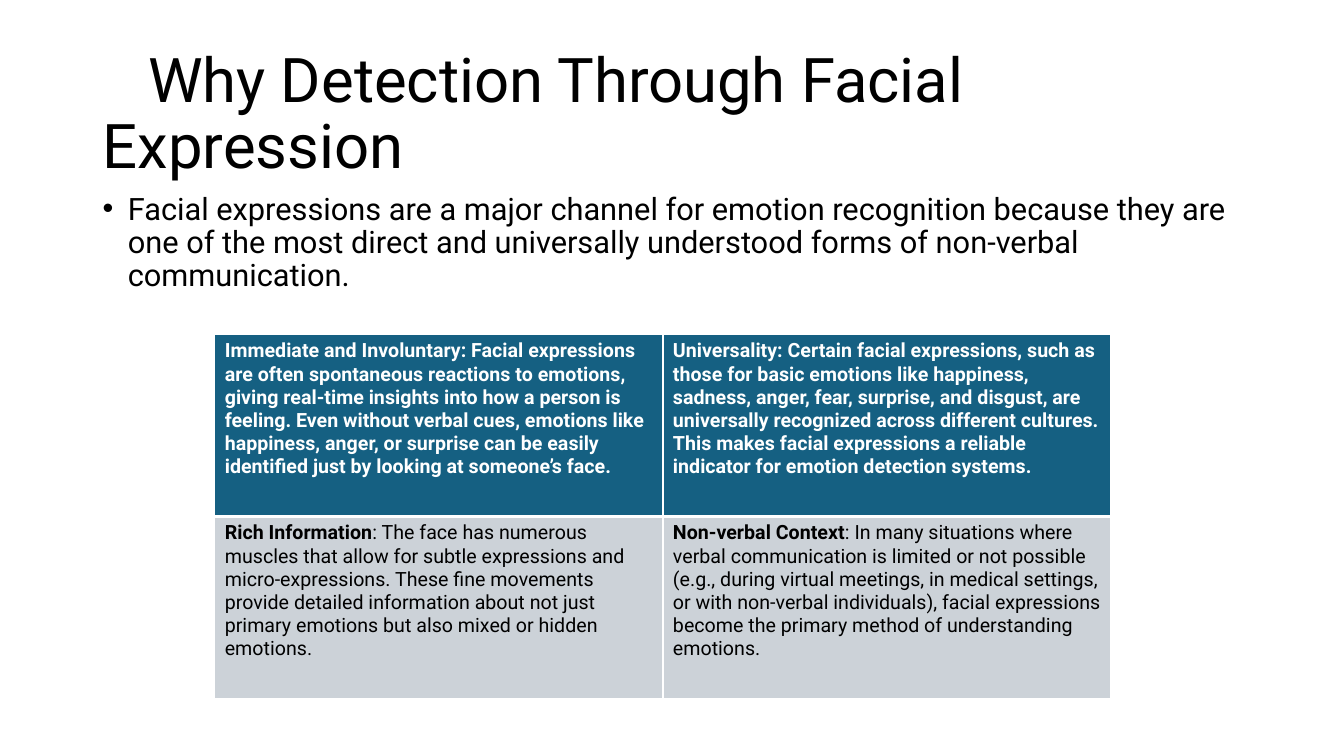
from lxml.etree import SubElement
from pptx import Presentation
from pptx.dml.color import RGBColor as RGB
from pptx.enum.text import MSO_ANCHOR as Anchor
from pptx.oxml import parse_xml
from pptx.oxml.ns import nsdecls, qn
from pptx.util import Inches, Pt

COLORS = {"ink": "000000", "paper": "FFFFFF", "header": "156082", "body": "CCD2D8"}

TITLE = "Why Detection Through Facial Expression"
SUMMARY = (
    "Facial expressions are a major channel for emotion recognition because they are "
    "one of the most direct and universally understood forms of non-verbal communication."
)
REASONS = [
    [
        ("Immediate and Involuntary",
         ": Facial expressions are often spontaneous reactions to emotions, giving "
         "real-time insights into how a person is feeling. Even without verbal cues, "
         "emotions like happiness, anger, or surprise can be easily identified just by "
         "looking at someone’s face."),
        ("Universality",
         ": Certain facial expressions, such as those for basic emotions like happiness, "
         "sadness, anger, fear, surprise, and disgust, are universally recognized across "
         "different cultures. This makes facial expressions a reliable indicator for "
         "emotion detection systems."),
    ],
    [
        ("Rich Information",
         ": The face has numerous muscles that allow for subtle expressions and "
         "micro-expressions. These fine movements provide detailed information about not "
         "just primary emotions but also mixed or hidden emotions."),
        ("Non-verbal Context",
         ": In many situations where verbal communication is limited or not possible "
         "(e.g., during virtual meetings, in medical settings, or with non-verbal "
         "individuals), facial expressions become the primary method of understanding "
         "emotions."),
    ],
]


class SlideBuilder:
    font = "Roboto"

    def __init__(self, slide):
        self.slide = slide

    def style(self, run, size, color, bold=False):
        run.font.name = self.font
        run.font.size = Pt(size)
        run.font.bold = bold
        run.font.color.rgb = RGB.from_string(COLORS[color])

    def text(self, content, left, top, width, height, size, anchor=Anchor.TOP,
             margin=0, indent=0, before=0, bullet=None):
        box = self.slide.shapes.add_textbox(
            Inches(left), Inches(top), Inches(width), Inches(height))
        frame = box.text_frame
        frame.word_wrap = True
        frame.vertical_anchor = anchor
        frame.text = content
        paragraph = frame.paragraphs[0]
        paragraph.line_spacing = 0.9
        paragraph.space_before = Pt(before)
        properties = paragraph._p.get_or_add_pPr()
        properties.set("marL", str(Inches(margin)))
        properties.set("indent", str(Inches(indent)))
        if bullet:
            SubElement(properties, qn("a:buFont")).set("typeface", "Arial")
            SubElement(properties, qn("a:buChar")).set("char", bullet)
        self.style(paragraph.runs[0], size, "ink")

    def borders(self, cell, **widths):
        properties = cell._tc.get_or_add_tcPr()
        for position, side in enumerate("LRTB"):
            properties.insert(position, parse_xml(
                f'<a:ln{side} {nsdecls("a")} w="{Pt(widths.get(side, 1))}">'
                f'<a:solidFill><a:srgbClr val="{COLORS["paper"]}"/></a:solidFill>'
                f'</a:ln{side}>'))

    def cell(self, cell, heading, detail, is_header):
        cell.fill.solid()
        cell.fill.fore_color.rgb = RGB.from_string(COLORS["header" if is_header else "body"])
        self.borders(cell, **{"B" if is_header else "T": 3})
        paragraph = cell.text_frame.paragraphs[0]
        for words, bold in ((heading, True), (detail, is_header)):
            run = paragraph.add_run()
            run.text = words
            self.style(run, 14, "paper" if is_header else "ink", bold)

    def table(self, rows, left, top, width, height):
        grid = self.slide.shapes.add_table(
            len(rows), len(rows[0]), Inches(left), Inches(top),
            Inches(width), Inches(height)).table
        grid.horz_banding = False
        for r, row in enumerate(rows):
            for c, (heading, detail) in enumerate(row):
                self.cell(grid.cell(r, c), heading, detail, r == 0)


def main():
    deck = Presentation()
    deck.slide_width, deck.slide_height = Inches(13.33), Inches(7.5)
    page = SlideBuilder(deck.slides.add_slide(deck.slide_layouts[6]))
    page.text(TITLE, 0.92, 0.42, 11.5, 1.45, 44, anchor=Anchor.MIDDLE, indent=0.45)
    page.text(SUMMARY, 0.92, 1.87, 11.5, 4.76, 22,
              margin=0.25, indent=-0.25, before=10, bullet="•")
    page.table(REASONS, 2.13, 3.32, 8.89, 3.61)
    deck.save("out.pptx")


if __name__ == "__main__":
    main()
